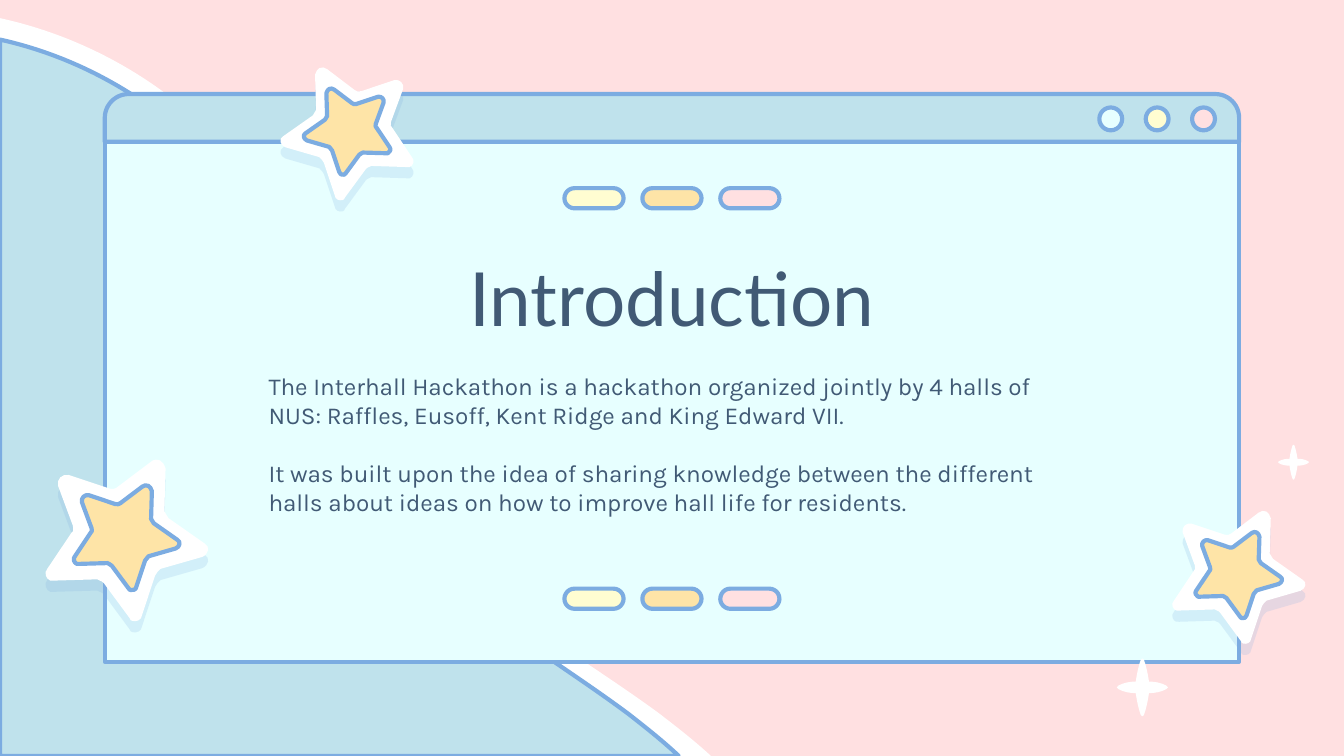
import math
from dataclasses import dataclass

from lxml import etree
from pptx import Presentation
from pptx.dml.color import RGBColor
from pptx.enum.shapes import MSO_SHAPE
from pptx.enum.text import MSO_ANCHOR, MSO_AUTO_SIZE, PP_ALIGN
from pptx.oxml.ns import qn
from pptx.util import Inches, Pt

RECTANGLE = MSO_SHAPE.RECTANGLE
TITLE_BAR = MSO_SHAPE.ROUND_2_SAME_RECTANGLE
CIRCLE = MSO_SHAPE.OVAL
PILL = MSO_SHAPE.ROUNDED_RECTANGLE
CENTER, LEFT = PP_ALIGN.CENTER, PP_ALIGN.LEFT
TOP, BOTTOM = MSO_ANCHOR.TOP, MSO_ANCHOR.BOTTOM
NO_AUTOFIT = MSO_AUTO_SIZE.NONE

CELL = Inches(0.1)
COLUMNS, ROWS = 100, 56.25
COLORS = {
    "rose": "FFE0E1", "white": "FFFFFF", "sky": "BFE2EC", "outline": "7CACE1",
    "aqua": "E7FFFF", "cream": "FFFDD1", "gold": "FEE4A7", "text": "415A75",
}
WAVE = [
    [(0, 0)],
    [(0.78, 0.17), (1.5, 0.64), (1.94, 1.3)],
    [(2.45, 2.08), (2.59, 3.06), (3.17, 3.8)],
    [(3.62, 4.37), (4.3, 4.73), (4.9, 5.17)],
    [(5.03, 5.27), (5.16, 5.37), (5.29, 5.49)],
    [(0, 5.49)],
]
TILT = 21.8
TILTED_STAR = [
    [(25, -55)], [(23, -56), (20, -56), (18, -54)],
    [(-7, -35)], [(-8, -34), (-11, -33), (-13, -34)],
    [(-43, -44)], [(-48, -45), (-52, -41), (-51, -36)],
    [(-40, -6)], [(-39, -4), (-40, -1), (-41, -1)],
    [(-59, 26)], [(-62, 29), (-60, 34), (-57, 35)], [(-56, 35), (-55, 35), (-54, 35)],
    [(-22, 34)], [(-21, 34), (-21, 35), (-20, 35)], [(-19, 35), (-18, 36), (-17, 37)],
    [(2, 63)], [(2, 64), (3, 65), (4, 65)], [(7, 66), (11, 64), (11, 61)],
    [(21, 31)], [(22, 29), (23, 28), (25, 26)],
    [(56, 17)], [(61, 15), (62, 9), (58, 7)],
    [(31, -12)], [(30, -14), (29, -15), (28, -17)],
    [(29, -49)], [(28, -52), (27, -54), (25, -55)],
]
SPARKLE_QUARTER = [
    (0.5, 0), (0.49, 0), (0.48, 0.01), (0.47, 0.02), (0.42, 0.14), (0.39, 0.28), (0.37, 0.4),
    (0.26, 0.4), (0.13, 0.42), (0.03, 0.47), (0.01, 0.48), (0, 0.49), (0, 0.5),
]
BODY = [
    "The Interhall Hackathon is a hackathon organized jointly by 4 halls of "
    "NUS: Raffles, Eusoff, Kent Ridge and King Edward VII.",
    "It was built upon the idea of sharing knowledge between the different "
    "halls about ideas on how to improve hall life for residents.",
]


@dataclass
class Box:
    left: float
    top: float
    width: float
    height: float

    def emu(self):
        return [round(value * CELL) for value in (self.left, self.top, self.width, self.height)]

    def shrink(self, share):
        width, height = self.width * share, self.height * share
        return Box(self.left + (self.width - width) / 2, self.top + (self.height - height) / 2, width, height)


def color(name):
    return RGBColor.from_string(COLORS[name])


def paint(shape, fill, outlined):
    shape.shadow.inherit = False
    shape.fill.solid()
    shape.fill.fore_color.rgb = color(fill)
    if outlined:
        shape.line.color.rgb = color("outline")
        shape.line.width = Pt(2.25)
    else:
        shape.line.fill.background()


def add_preset(slide, kind, box, fill, adjustments=()):
    shape = slide.shapes.add_shape(kind, *box.emu())
    for index, value in enumerate(adjustments):
        shape.adjustments[index] = value
    paint(shape, fill, True)


def add_outline(slide, box, segments, fill, outlined=False):
    left, top, width, height = box.emu()
    builder = slide.shapes.build_freeform(left, top)
    builder.add_line_segments([(left + width, top), (left + width, top + height)])
    shape = builder.convert_to_shape()
    curve = next(shape.element.iter(qn("a:path")))
    for child in list(curve):
        curve.remove(child)
    xs, ys = zip(*[point for segment in segments for point in segment])
    x_scale, y_scale = width / (max(xs) - min(xs)), height / (max(ys) - min(ys))
    for index, segment in enumerate(segments):
        tag = "a:moveTo" if index == 0 else "a:lnTo" if len(segment) == 1 else "a:cubicBezTo"
        command = etree.SubElement(curve, qn(tag))
        for x, y in segment:
            etree.SubElement(
                command, qn("a:pt"),
                x=str(round((x - min(xs)) * x_scale)), y=str(round((y - min(ys)) * y_scale)))
    etree.SubElement(curve, qn("a:close"))
    paint(shape, fill, outlined)
    return shape


def star_segments(direction):
    cosine, sine = math.cos(math.radians(TILT)), math.sin(math.radians(TILT))
    return [
        [(direction * (x * cosine + y * sine), y * cosine - x * sine) for x, y in segment]
        for segment in TILTED_STAR
    ]


def add_star(slide, box, direction):
    segments = star_segments(direction)
    rim = add_outline(slide, box, segments, "white")
    core = add_outline(slide, box.shrink(0.65), segments, "gold", True)
    rim.rotation = core.rotation = direction * TILT % 360
    effects = rim.element.spPr.find(qn("a:effectLst"))
    shadow = etree.SubElement(
        effects, qn("a:outerShdw"), blurRad="0", dist=str(Pt(6)), dir="5400000", rotWithShape="0")
    tint = etree.SubElement(shadow, qn("a:srgbClr"), val=COLORS["outline"])
    etree.SubElement(tint, qn("a:alpha"), val="19000")


def add_sparkle(slide, box):
    half = SPARKLE_QUARTER + [(x, 1 - y) for x, y in SPARKLE_QUARTER[-2::-1]]
    points = half + [(1 - x, y) for x, y in half[-2::-1]]
    segments = [points[:1]] + [points[index:index + 3] for index in range(1, len(points), 3)]
    add_outline(slide, box, segments, "white")


def add_row(slide, kind, box, item_width, fills, adjustments=()):
    pitch = (box.width - item_width) / (len(fills) - 1)
    for index, fill in enumerate(fills):
        item = Box(box.left + index * pitch, box.top, item_width, box.height)
        add_preset(slide, kind, item, fill, adjustments)


def add_window(slide, box):
    bar = 3.55
    add_preset(slide, RECTANGLE, Box(box.left, box.top + bar, box.width, box.height - bar), "aqua")
    add_preset(slide, TITLE_BAR, Box(box.left, box.top, box.width, bar), "sky", (0.5, 0))
    buttons = Box(box.left + box.width - 10.4, box.top + 1, 8.6, 1.7)
    add_row(slide, CIRCLE, buttons, 1.7, ("aqua", "cream", "rose"))
    for offset in (7, 36.8):
        pills = Box(box.left + box.width / 2 - 8, box.top + offset, 16, 1.5)
        add_row(slide, PILL, pills, 4.4, ("cream", "gold", "rose"), (0.5,))


def write(shape, box, texts, font_name, size, alignment, anchor):
    shape.left, shape.top, shape.width, shape.height = box.emu()
    frame = shape.text_frame
    frame.text = "\n".join(texts)
    frame.word_wrap = True
    frame.auto_size = NO_AUTOFIT
    frame.vertical_anchor = anchor
    frame.margin_left = frame.margin_right = frame.margin_top = frame.margin_bottom = CELL
    for index, paragraph in enumerate(frame.paragraphs):
        paragraph.alignment = alignment
        paragraph.space_before = Pt(15.5 if index else 0)
        paragraph.font.name = font_name
        paragraph.font.size = Pt(size)
        paragraph.font.color.rgb = color("text")


def add_introduction(slide, box):
    title = slide.shapes.title
    slide.shapes.element.append(title.element)
    write(title, Box(box.left, box.top, box.width, 8.8), ["Introduction"], "Lato", 40, CENTER, BOTTOM)
    body_box = Box(box.left, box.top + 9, box.width, box.height - 9)
    body = slide.shapes.add_textbox(*body_box.emu())
    write(body, body_box, BODY, "Karla", 13, LEFT, TOP)


def main():
    presentation = Presentation()
    presentation.slide_width = round(COLUMNS * CELL)
    presentation.slide_height = round(ROWS * CELL)
    slide = presentation.slides.add_slide(presentation.slide_layouts[5])
    slide.background.fill.solid()
    slide.background.fill.fore_color.rgb = color("rose")
    add_outline(slide, Box(0, 1.35, 52.9, ROWS - 1.35), WAVE, "white")
    add_outline(slide, Box(0, 2.95, 50.5, ROWS - 2.95), WAVE, "sky", True)
    add_window(slide, Box(7.8, 7, 84.4, 42.25))
    add_sparkle(slide, Box(95.1, 33.1, 2.3, 2.6))
    add_sparkle(slide, Box(83.1, 49, 3.8, 4.3))
    add_introduction(slide, Box(19, 17.6, 62, 23.1))
    add_star(slide, Box(20.7, 4.6, 10.3, 9.8), -1)
    add_star(slide, Box(3.1, 33.7, 12.6, 11.9), 1)
    add_star(slide, Box(87, 37.6, 10.3, 9.8), 1)
    presentation.save("out.pptx")


if __name__ == "__main__":
    main()
